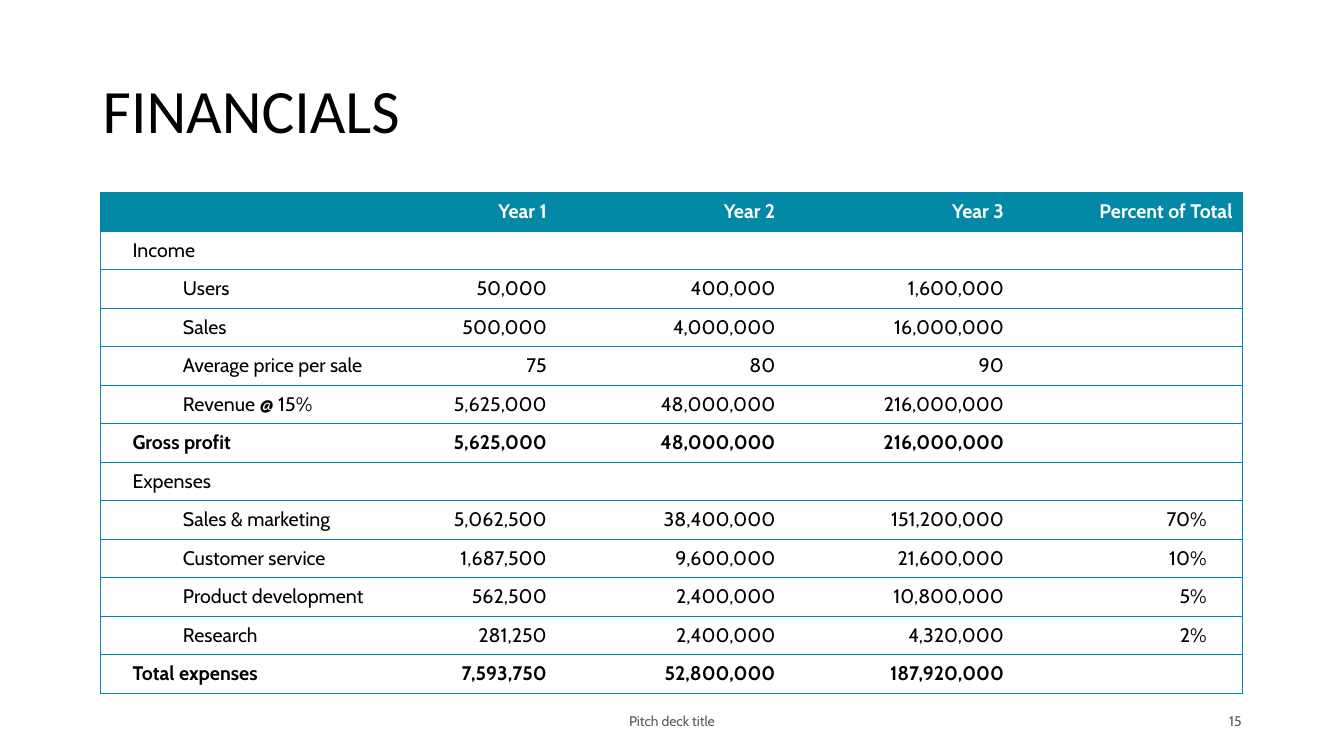
from lxml.etree import SubElement
from pptx import Presentation
from pptx.dml.color import RGBColor
from pptx.enum.text import MSO_ANCHOR as Anchor, PP_ALIGN as Align
from pptx.oxml.ns import qn
from pptx.util import Cm, Pt

TEAL = RGBColor(0x03, 0x88, 0xA6)
WHITE = RGBColor(0xFF, 0xFF, 0xFF)
BLACK = RGBColor(0, 0, 0)
GRAY = RGBColor(0x59, 0x59, 0x59)

COLUMN_WIDTHS = [7.48, 4.01, 5.76, 5.76, 5.76]
ROW_HEIGHT = 0.97
ROWS = [
    ["", "Year 1", "Year 2", "Year 3", "Percent of Total"],
    ["Income", "", "", "", ""],
    ["Users", "50,000", "400,000", "1,600,000", ""],
    ["Sales", "500,000", "4,000,000", "16,000,000", ""],
    ["Average price per sale", "75", "80", "90", ""],
    ["Revenue @ 15%", "5,625,000", "48,000,000", "216,000,000", ""],
    ["Gross profit", "5,625,000", "48,000,000", "216,000,000", ""],
    ["Expenses", "", "", "", ""],
    ["Sales & marketing", "5,062,500", "38,400,000", "151,200,000", "70%"],
    ["Customer service", "1,687,500", "9,600,000", "21,600,000", "10%"],
    ["Product development", "562,500", "2,400,000", "10,800,000", "5%"],
    ["Research", "281,250", "2,400,000", "4,320,000", "2%"],
    ["Total expenses", "7,593,750", "52,800,000", "187,920,000", ""],
]
SECTIONS = {"Income", "Expenses"}
TOTALS = {"Gross profit", "Total expenses"}


def style_text(para, font, size, color, align, bold=False):
    para.alignment = align
    for span in para.runs:
        span.font.name = font
        span.font.size = Pt(size)
        span.font.bold = bold
        span.font.color.rgb = color


def add_text(page, text, left, top, width, height, font, size, color, align):
    box = page.shapes.add_textbox(Cm(left), Cm(top), Cm(width), Cm(height))
    frame = box.text_frame
    frame.word_wrap = True
    frame.vertical_anchor = Anchor.MIDDLE
    frame.text = text
    style_text(frame.paragraphs[0], font, size, color, align)
    return frame.paragraphs[0]


def set_borders(cell, is_first, is_last):
    """Rule every row and the outer sides; leave inner verticals open."""
    properties = cell._tc.get_or_add_tcPr()
    sides = {"a:lnL": is_first, "a:lnR": is_last, "a:lnT": True, "a:lnB": True}
    for tag, visible in sides.items():
        line = SubElement(properties, qn(tag), w=str(Pt(0.5)))
        if visible:
            fill = SubElement(line, qn("a:solidFill"))
            SubElement(fill, qn("a:srgbClr"), val=str(TEAL))
        else:
            SubElement(line, qn("a:noFill"))


def fill_cell(cell, text, row, column):
    is_header = row == 0
    is_label = column == 0
    is_last = column == len(COLUMN_WIDTHS) - 1
    label = ROWS[row][0]

    # Borders and fill
    set_borders(cell, is_label, is_last)
    cell.fill.solid()
    cell.fill.fore_color.rgb = TEAL if is_header else WHITE

    # Margins
    cell.vertical_anchor = Anchor.MIDDLE
    cell.margin_top = cell.margin_bottom = 0
    cell.margin_left = Cm(0.8 if is_label else 0.25)
    cell.margin_right = Cm(0.9 if is_last and not is_header else 0.25)

    # Text
    cell.text_frame.text = text
    para = cell.text_frame.paragraphs[0]
    style_text(para, "Cabin", 14, WHITE if is_header else BLACK,
               Align.LEFT if is_label else Align.RIGHT,
               is_header or label in TOTALS)
    if is_label and text and text not in SECTIONS | TOTALS:
        para.level = 1
        indent = para._p.get_or_add_pPr()
        indent.set("marL", str(Cm(1.27)))
        indent.set("indent", "0")


def add_financials(page, left, top):
    frame = page.shapes.add_table(
        len(ROWS), len(COLUMN_WIDTHS), Cm(left), Cm(top),
        Cm(sum(COLUMN_WIDTHS)), Cm(ROW_HEIGHT * len(ROWS)))
    table = frame.table
    table.first_row = False
    table.horz_banding = False
    for column, width in zip(table.columns, COLUMN_WIDTHS):
        column.width = Cm(width)
    for row, texts in enumerate(ROWS):
        table.rows[row].height = Cm(ROW_HEIGHT)
        for column, text in enumerate(texts):
            fill_cell(table.cell(row, column), text, row, column)


def main():
    deck = Presentation()
    deck.slide_width, deck.slide_height = Cm(33.87), Cm(19.05)
    page = deck.slides.add_slide(deck.slide_layouts[6])

    # Title
    title = add_text(page, "FINANCIALS", 2.34, 1.02, 29.21, 3.68,
                     "Calibri", 44, BLACK, Align.LEFT)
    title.line_spacing = 0.9

    # Table
    add_financials(page, 2.54, 4.85)

    # Footer
    add_text(page, "Pitch deck title", 11.22, 17.65, 11.43, 1.02,
             "Cabin", 10, GRAY, Align.CENTER)
    add_text(page, "15", 23.92, 17.65, 7.62, 1.02,
             "Cabin", 10, GRAY, Align.RIGHT)

    deck.save("out.pptx")


if __name__ == "__main__":
    main()
